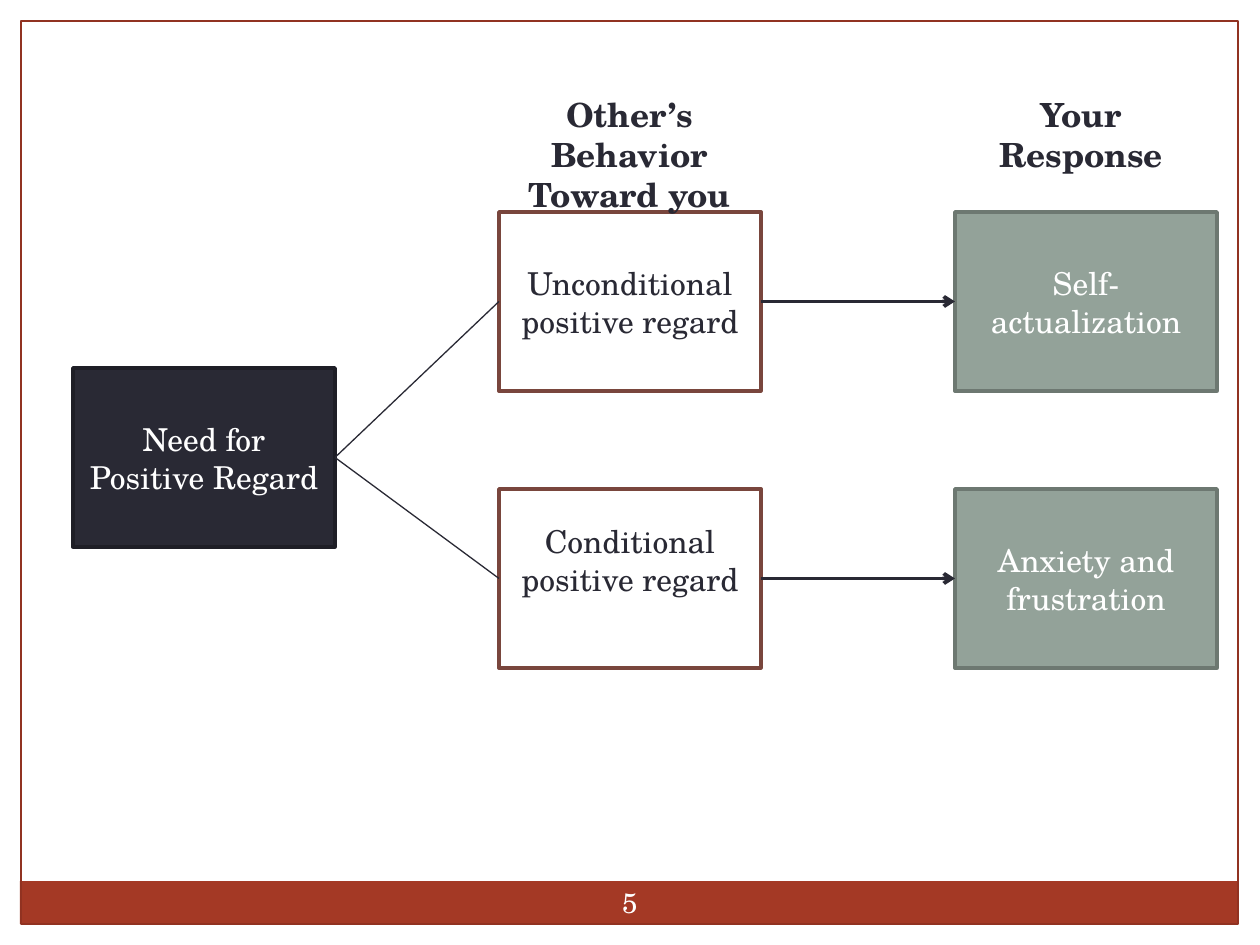
from dataclasses import dataclass

from lxml.etree import SubElement
from pptx import Presentation
from pptx.dml.color import RGBColor
from pptx.enum.shapes import MSO_CONNECTOR, MSO_SHAPE
from pptx.enum.text import MSO_ANCHOR, PP_ALIGN
from pptx.oxml.ns import qn
from pptx.util import Emu, Pt

PIXEL = 914400 / 126


@dataclass(frozen=True)
class Theme:
    font: str = "TeX Gyre Schola"
    white: str = "FFFFFF"
    ink: str = "292934"
    ink_edge: str = "1E1E26"
    sage: str = "93A299"
    sage_edge: str = "6D7871"
    brown: str = "79463D"
    band: str = "A43925"
    frame: str = "913221"
    body_size: int = 18
    heading_size: int = 19
    number_size: int = 16
    thin: float = 0.75
    thick: float = 2.08


def px(value):
    return Emu(round(value * PIXEL))


def rgb(color):
    return RGBColor.from_string(color)


class Diagram:
    def __init__(self, page, theme):
        self.page = page
        self.theme = theme

    def set_text(self, shape, text, size, color, bold=False, **frame_format):
        frame = shape.text_frame
        settings = {"word_wrap": True, **frame_format}
        for name, value in settings.items():
            setattr(frame, name, value)
        para = frame.paragraphs[0]
        para.alignment = PP_ALIGN.CENTER
        span = para.add_run()
        span.text = text
        font_format = {"name": self.theme.font, "size": Pt(size), "bold": bold}
        for name, value in font_format.items():
            setattr(span.font, name, value)
        span.font.color.rgb = rgb(color)

    def rectangle(self, area, fill=None, edge=None, width=0):
        shape = self.page.shapes.add_shape(MSO_SHAPE.RECTANGLE, *map(px, area))
        shape.shadow.inherit = False
        if fill:
            shape.fill.solid()
            shape.fill.fore_color.rgb = rgb(fill)
        else:
            shape.fill.background()
        if edge:
            shape.line.color.rgb = rgb(edge)
            shape.line.width = Pt(width)
        else:
            shape.line.fill.background()
        return shape

    def box(self, left, top, text, fill, edge, color, bottom=6):
        shape = self.rectangle((left, top, 262, 179), fill, edge, self.theme.thick)
        self.set_text(shape, text, self.theme.body_size, color,
                      vertical_anchor=MSO_ANCHOR.MIDDLE, margin_bottom=px(bottom))
        return shape

    def label(self, area, text, size, color, **text_format):
        shape = self.page.shapes.add_textbox(*map(px, area))
        self.set_text(shape, text, size, color, **text_format)

    def connect(self, start, end, width, arrow=False):
        line = self.page.shapes.add_connector(MSO_CONNECTOR.STRAIGHT, 0, 0, 0, 0)
        line.begin_connect(start, 3)
        line.end_connect(end, 1)
        line.line.color.rgb = rgb(self.theme.ink)
        line.line.width = Pt(width)
        properties = line._element.spPr
        if arrow:
            SubElement(properties.find(qn("a:ln")), qn("a:tailEnd"), type="arrow")
        SubElement(properties, qn("a:effectLst"))


deck = Presentation()
deck.slide_width, deck.slide_height = px(1260), px(945)
theme = Theme()
diagram = Diagram(deck.slides.add_slide(deck.slide_layouts[6]), theme)

# Frame, footer band and page number
diagram.rectangle((20, 881, 1218, 43), fill=theme.band)
diagram.rectangle((21, 21, 1217, 903), edge=theme.frame, width=theme.thin)
diagram.label((588, 872, 84, 60), "5", theme.number_size, theme.white,
              vertical_anchor=MSO_ANCHOR.MIDDLE, margin_left=px(6), margin_right=px(6))

# Starting need
need = diagram.box(73, 368, "Need for Positive Regard", theme.ink, theme.ink_edge, theme.white)

# One row per kind of regard: behavior, then response
rows = [
    (212, "Unconditional positive regard", 6, "Self- actualization"),
    (489, "Conditional positive regard", 44, "Anxiety and frustration"),
]
for top, behavior_text, bottom, response_text in rows:
    behavior = diagram.box(499, top, behavior_text, theme.white, theme.brown, theme.ink, bottom)
    response = diagram.box(955, top, response_text, theme.sage, theme.sage_edge, theme.white)
    diagram.connect(need, behavior, theme.thin)
    diagram.connect(behavior, response, theme.thick, arrow=True)

# Column headings
for left, width, heading in [(472, 315, "Other’s Behavior Toward you"),
                             (950, 262, "Your Response")]:
    diagram.label((left, 88, width, 93), heading, theme.heading_size, theme.ink, bold=True)

deck.save("out.pptx")
